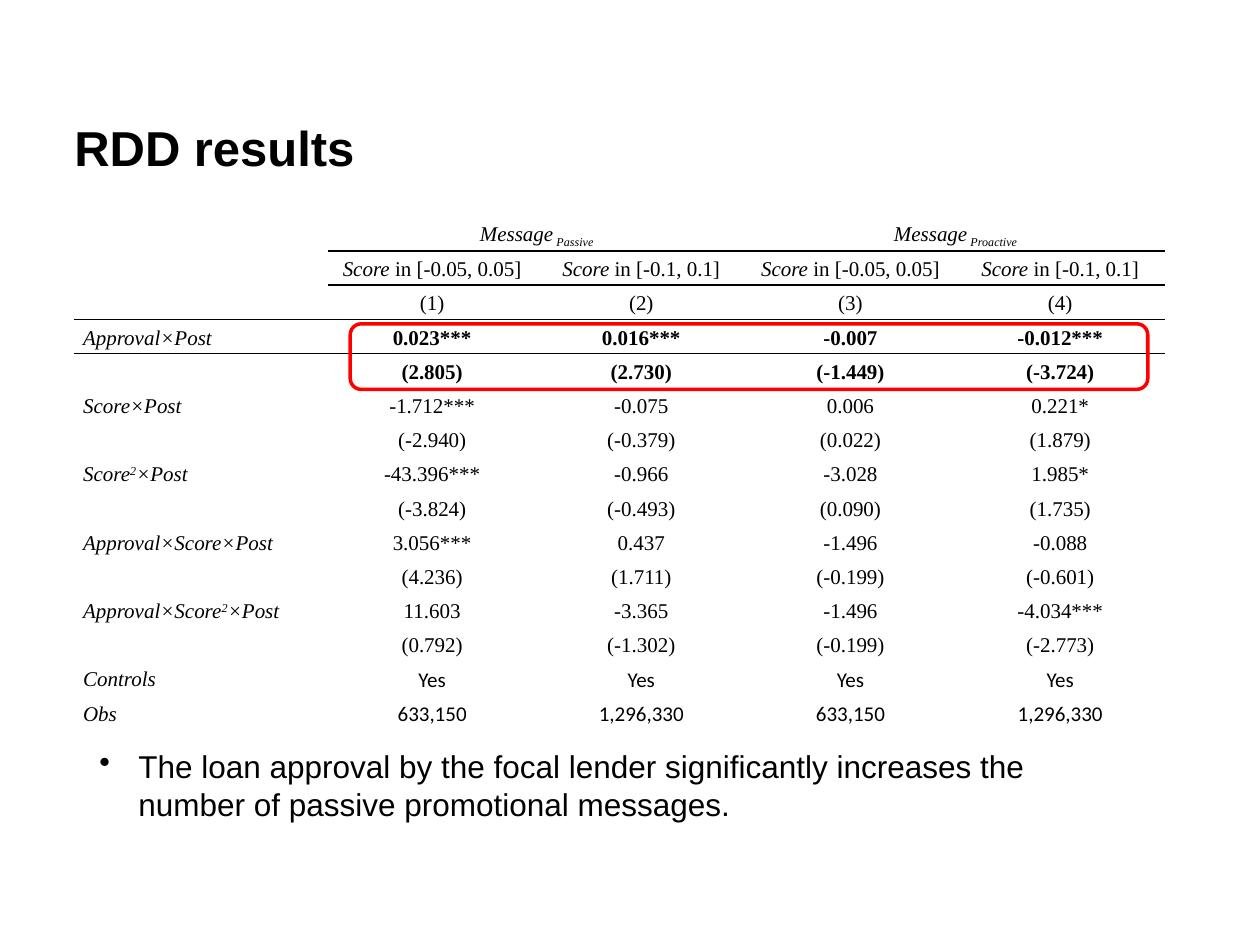
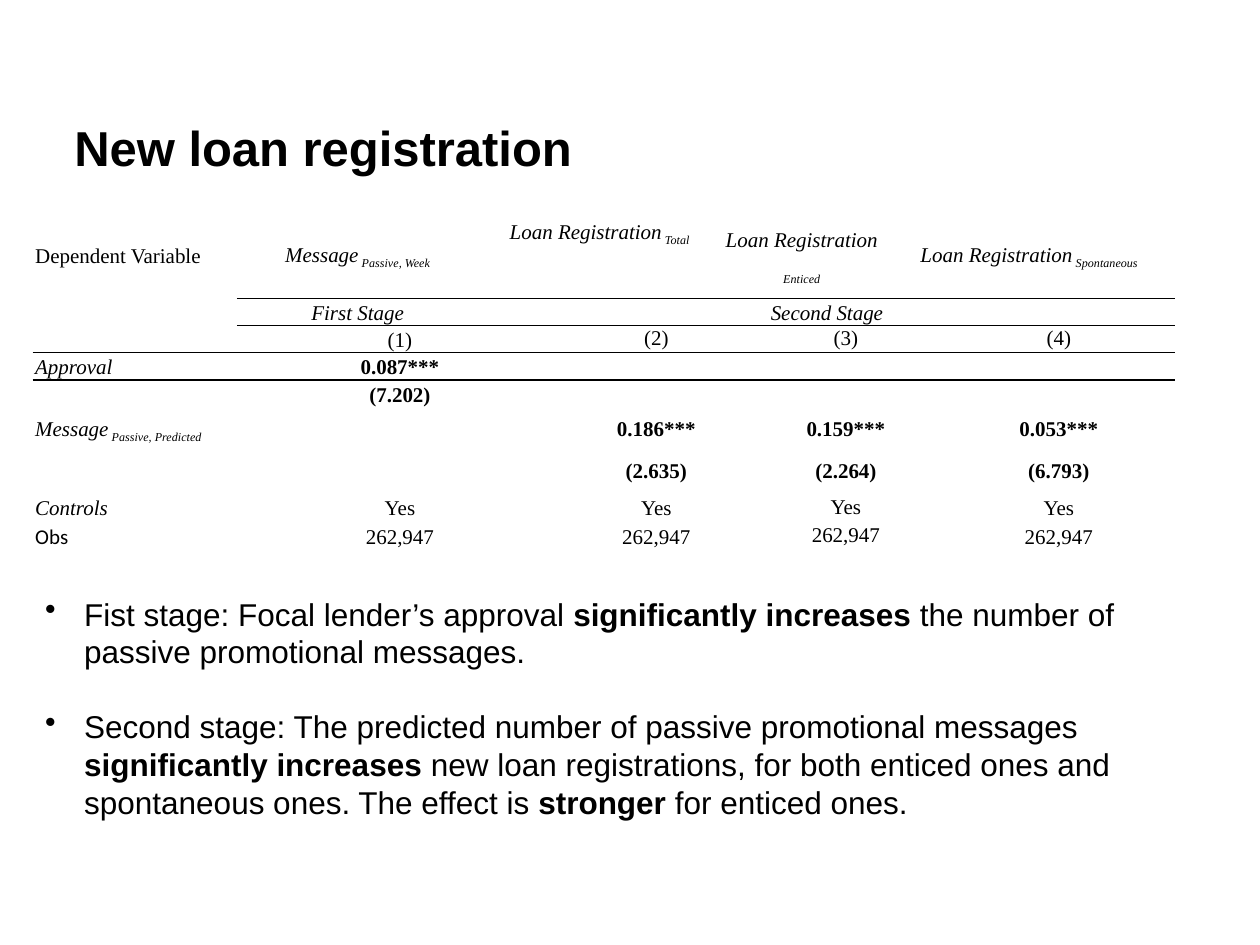
from lxml import etree
from pptx import Presentation
from pptx.dml.color import RGBColor
from pptx.enum.shapes import MSO_SHAPE
from pptx.enum.text import MSO_ANCHOR, MSO_AUTO_SIZE, PP_ALIGN
from pptx.oxml import parse_xml
from pptx.oxml.ns import nsdecls, qn
from pptx.util import Inches, Pt

LEFT, CENTER = PP_ALIGN.LEFT, PP_ALIGN.CENTER
TOP, MIDDLE = MSO_ANCHOR.TOP, MSO_ANCHOR.MIDDLE
NO_AUTOFIT = MSO_AUTO_SIZE.NONE
ROUNDED = MSO_SHAPE.ROUNDED_RECTANGLE
BLACK, RED = "000000", "FF0000"
HEADING, SERIF, SANS = "Arial", "Times New Roman", "Calibri"
PLAIN_TABLE = "{2D5ABB26-0587-4C30-8999-92F81FD0307C}"


def color(hex_value):
    return RGBColor.from_string(hex_value)


def write(paragraph, runs, font, size):
    paragraph.font.name = font
    paragraph.font.size = Pt(size)
    paragraph.font.color.rgb = color(BLACK)
    for text, style in runs:
        run = paragraph.add_run()
        run.text = text
        if "i" in style:
            run.font.italic = True
        if "b" in style:
            run.font.bold = True
        if "_" in style:
            run._r.get_or_add_rPr().set("baseline", "-25000")
        if "^" in style:
            run._r.get_or_add_rPr().set("baseline", "30000")
    if not runs:
        paragraph._p.get_or_add_endParaRPr().set("sz", str(size * 100))


column_numbers = ["(1)", "(2)", "(3)", "(4)"]

rdd_cells = {
    (0, 1): [("Message", "i"), (" Passive", "i_")],
    (0, 3): [("Message", "i"), (" Proactive", "i_")],
    (3, 0): [("Approval×Post", "i")],
    (5, 0): [("Score×Post", "i")],
    (7, 0): [("Score", "i"), ("2", "i^"), ("×Post", "i")],
    (9, 0): [("Approval×Score×Post", "i")],
    (11, 0): [("Approval×Score", "i"), ("2", "i^"), ("×Post", "i")],
    (13, 0): [("Controls", "i")],
    (14, 0): [("Obs", "i")],
}
for col in range(1, 5):
    window = " in [-0.05, 0.05]" if col % 2 else " in [-0.1, 0.1]"
    rdd_cells[1, col] = [("Score", "i"), (window, "")]
rdd_values = [
    column_numbers,
    ["0.023***", "0.016***", "-0.007", "-0.012***"],
    ["(2.805)", "(2.730)", "(-1.449)", "(-3.724)"],
    ["-1.712***", "-0.075", "0.006", "0.221*"],
    ["(-2.940)", "(-0.379)", "(0.022)", "(1.879)"],
    ["-43.396***", "-0.966", "-3.028", "1.985*"],
    ["(-3.824)", "(-0.493)", "(0.090)", "(1.735)"],
    ["3.056***", "0.437", "-1.496", "-0.088"],
    ["(4.236)", "(1.711)", "(-0.199)", "(-0.601)"],
    ["11.603", "-3.365", "-1.496", "-4.034***"],
    ["(0.792)", "(-1.302)", "(-0.199)", "(-2.773)"],
    ["Yes"] * 4,
    ["633,150", "1,296,330"] * 2,
]
for row, values in enumerate(rdd_values, 2):
    for col, value in enumerate(values, 1):
        rdd_cells[row, col] = [(value, "b" if row in (3, 4) else "")]

loan_cells = {
    (0, 0): [("Dependent Variable", "")],
    (0, 1): [("Message", "i"), (" Passive, Week", "i_")],
    (1, 1): [("First Stage", "i")],
    (1, 2): [("Second Stage", "i")],
    (3, 0): [("Approval", "i")],
    (5, 0): [("Message", "i"), (" Passive, Predicted", "i_")],
    (7, 0): [("Controls", "i")],
    (8, 0): [("Obs", "")],
}
for col, kind in [(2, " Total"), (4, " Enticed"), (6, " Spontaneous")]:
    loan_cells[0, col] = [("Loan Registration", "i"), (kind, "i_")]
loan_values = [
    column_numbers,
    ["0.087***", "", "", ""],
    ["(7.202)", "", "", ""],
    ["", "0.186***", "0.159***", "0.053***"],
    ["", "(2.635)", "(2.264)", "(6.793)"],
    ["Yes"] * 4,
    ["262,947"] * 4,
]
for row, values in enumerate(loan_values, 2):
    for col, value in zip((1, 3, 5, 7), values):
        if value:
            loan_cells[row, col] = [(value, "b" if 3 <= row <= 6 else "")]

slides = [
    {
        "title": "RDD results",
        "cells": rdd_cells,
        "at": (0.59, 1.72),
        "cols": [2.01, 1.66, 1.66, 1.66, 1.67],
        "rows": [0.2713] * 15,
        "margin": 0.07,
        "spans": [(0, 1, 2), (0, 3, 4)],
        "rules": [(2, 0), (0, 1)],
        "sans": [(row, col) for row in (13, 14) for col in range(1, 5)],
        "single": [],
        "bullets_at": (0.69, 5.88, 8.42, 0.71),
        "bullets": [[("The loan approval by the focal lender significantly increases "
                      "the number of passive promotional messages.", "")]],
    },
    {
        "title": "New loan registration",
        "cells": loan_cells,
        "at": (0.26, 1.68),
        "cols": [1.62, 1.92, 0.67, 1.25, 0.23, 1.06, 0.47, 1.85],
        "rows": [0.69, 0.21, 0.21, 0.22, 0.22, 0.34, 0.34, 0.22, 0.22],
        "margin": 0.02,
        "spans": [(0, col, col + 1) for col in (2, 4, 6)] + [(1, 2, 7)]
                 + [(row, col, col + 1) for row in range(2, 9) for col in (1, 3, 5)],
        "rules": [(2, 0), (1, 7), (0, 1)],
        "sans": [(8, 0)],
        "single": [(row, col) for row in (2, 5, 6) for col in (3, 5, 7)] + [(7, 5), (8, 5)],
        "bullets_at": (0.26, 4.67, 8.95, 1.92),
        "bullets": [
            [("Fist stage: Focal lender’s approval ", ""),
             ("significantly increases", "b"),
             (" the number of passive promotional messages.", "")],
            [("Second stage: The predicted number of passive promotional messages ", ""),
             ("significantly increases ", "b"),
             ("new loan registrations, for both enticed ones and spontaneous ones. "
              "The effect is ", ""),
             ("stronger", "b"),
             (" for enticed ones.", "")],
        ],
    },
]

prs = Presentation()
prs.slide_width, prs.slide_height = Inches(10), Inches(7.5)

for content in slides:
    slide = prs.slides.add_slide(prs.slide_layouts[5])
    title = slide.shapes.title
    title.left, title.top = Inches(0.59), Inches(0.93)
    title.width, title.height = Inches(6.94), Inches(0.36)
    frame = title.text_frame
    frame.margin_left = frame.margin_right = frame.margin_top = frame.margin_bottom = 0
    frame.auto_size = NO_AUTOFIT
    frame.vertical_anchor = TOP
    heading = frame.paragraphs[0]
    heading.alignment = LEFT
    write(heading, [(content["title"], "b")], HEADING, 28)

    cols, rows = content["cols"], content["rows"]
    left, top = content["at"]
    table = slide.shapes.add_table(len(rows), len(cols), Inches(left), Inches(top),
                                   Inches(sum(cols)), Inches(sum(rows))).table
    table.first_row = table.horz_banding = False
    table._tbl.tblPr.find(qn("a:tableStyleId")).text = PLAIN_TABLE
    for column, width in zip(table.columns, cols):
        column.width = Inches(width)
    for line, height in zip(table.rows, rows):
        line.height = Inches(height)

    for row in range(len(rows)):
        for col in range(len(cols)):
            cell = table.cell(row, col)
            cell.fill.background()
            cell.margin_left = cell.margin_right = Inches(content["margin"])
            cell.margin_top = cell.margin_bottom = 0
            cell.vertical_anchor = MIDDLE
            paragraph = cell.text_frame.paragraphs[0]
            paragraph.alignment = CENTER if col else LEFT
            if (row, col) not in content["single"]:
                paragraph.line_spacing = 1.15
                paragraph.space_after = Pt(10)
            font = SANS if (row, col) in content["sans"] else SERIF
            write(paragraph, content["cells"].get((row, col), []), font, 12)
    for row, first, last in content["spans"]:
        table.cell(row, first).merge(table.cell(row, last))

    for row, first in content["rules"]:
        for col in range(first, len(cols)):
            for edge_row, edge in [(row, "lnB"), (row + 1, "lnT")]:
                border = parse_xml(f'<a:{edge} {nsdecls("a")} w="12700"><a:solidFill>'
                                   f'<a:srgbClr val="{BLACK}"/></a:solidFill></a:{edge}>')
                table.cell(edge_row, col)._tc.get_or_add_tcPr().insert(0, border)

    if content["cells"] is rdd_cells:
        highlight = slide.shapes.add_shape(ROUNDED, Inches(2.78), Inches(2.57),
                                           Inches(6.33), Inches(0.52))
        highlight.shadow.inherit = False
        highlight.fill.background()
        highlight.line.color.rgb = color(RED)
        highlight.line.width = Pt(2)
    else:
        total = table.cell(0, 2)
        total.vertical_anchor = TOP
        total.margin_top = Inches(0.04)

    findings = slide.shapes.add_textbox(*map(Inches, content["bullets_at"])).text_frame
    findings.word_wrap = True
    for index, runs in enumerate(content["bullets"]):
        finding = findings.add_paragraph() if index else findings.paragraphs[0]
        if index:
            finding.space_before = Pt(21)
        write(finding, runs, HEADING, 18)
        properties = finding._p.get_or_add_pPr()
        properties.set("marL", str(Inches(0.31)))
        properties.set("indent", str(Inches(-0.31)))
        bullet = etree.Element(qn("a:buChar"), char="•")
        properties.find(qn("a:defRPr")).addprevious(bullet)

prs.save("out.pptx")
